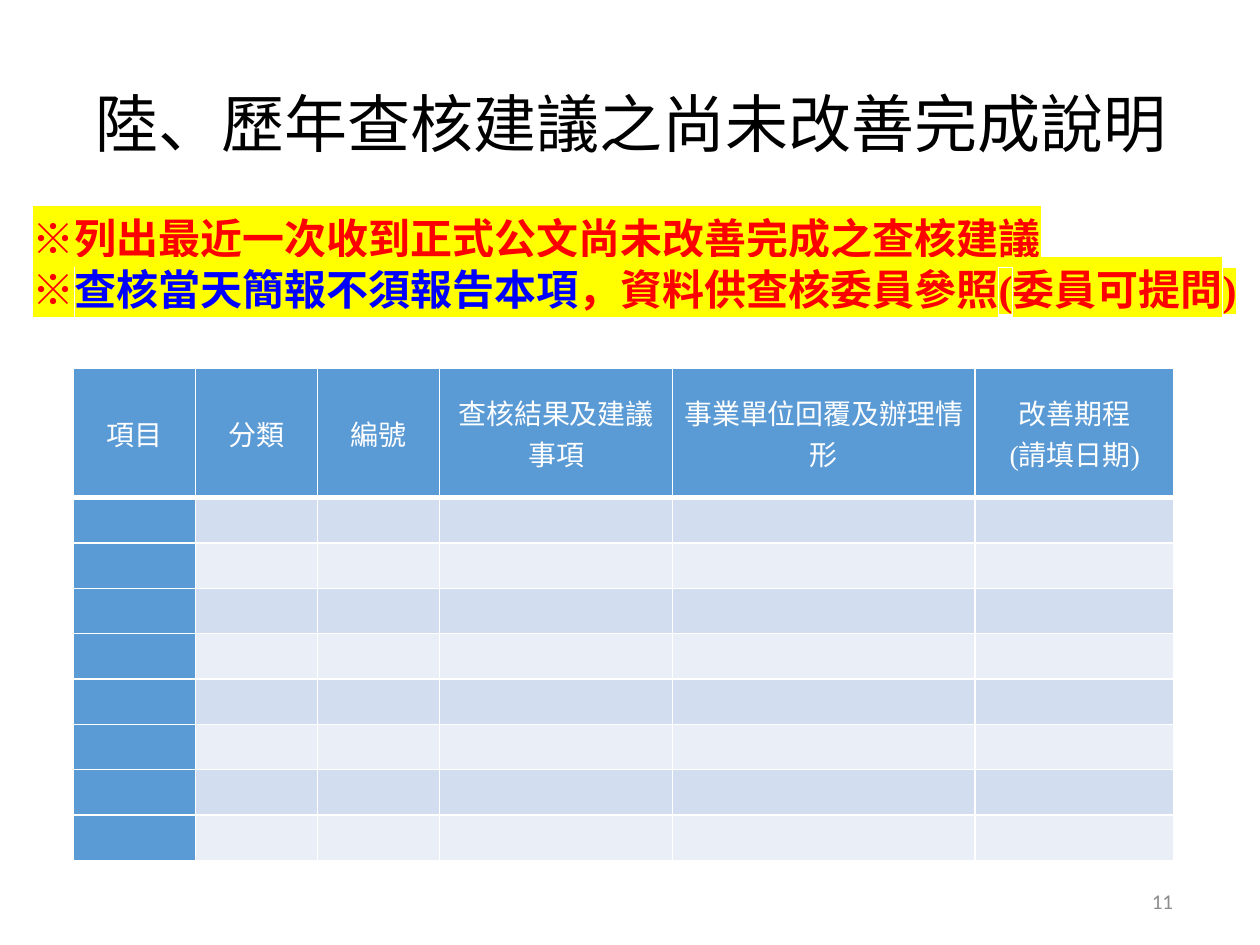
from lxml import etree
from pptx import Presentation
from pptx.dml.color import RGBColor
from pptx.enum import text
from pptx.oxml.ns import qn
from pptx.util import Inches, Pt

COLORS = {
    "ink": "000000", "white": "FFFFFF", "header": "5B9BD5",
    "band": "D2DEEF", "pale": "EAEFF7", "red": "FF0000",
    "blue": "0000FF", "yellow": "FFFF00", "gray": "8C8C8C",
}
SERIF = "Times New Roman"
COLUMNS, ROWS = 100, 75


def rgb(name):
    return RGBColor.from_string(COLORS[name])


def add_color(parent, name):
    etree.SubElement(parent, qn("a:srgbClr"), val=COLORS[name])


class SlideBuilder:
    """Style and current slide; places are in grid columns and rows."""

    def __init__(self, deck, layout):
        self.deck = deck
        self.page = deck.slides.add_slide(layout)

    def place(self, left, top, width, height):
        column = self.deck.slide_width / COLUMNS
        row = self.deck.slide_height / ROWS
        return (round(left * column), round(top * row),
                round(width * column), round(height * row))

    def style(self, para, font, size, color, align=text.PP_ALIGN.LEFT, bold=False):
        para.alignment = align
        para.font.name, para.font.size, para.font.bold = font, Pt(size), bold
        para.font.color.rgb = rgb(color)

    def margins(self, target, side, end):
        target.margin_left = target.margin_right = Inches(side)
        target.margin_top = target.margin_bottom = Inches(end)

    def title(self, words, place):
        box = self.page.shapes.title
        box.left, box.top, box.width, box.height = self.place(*place)
        frame = box.text_frame
        frame.text = words
        self.margins(frame, 0, 0)
        frame.vertical_anchor = text.MSO_ANCHOR.TOP
        frame.auto_size = text.MSO_AUTO_SIZE.SHAPE_TO_FIT_TEXT
        self.style(frame.paragraphs[0], "Noto Sans CJK SC", 36, "ink")

    def text_box(self, place, anchor=text.MSO_ANCHOR.TOP):
        frame = self.page.shapes.add_textbox(*self.place(*place)).text_frame
        frame.word_wrap = True
        frame.vertical_anchor = anchor
        return frame

    def notice(self, lines, place):
        frame = self.text_box(place)
        for index, spans in enumerate(lines):
            para = frame.add_paragraph() if index else frame.paragraphs[0]
            self.style(para, SERIF, 24, "red", bold=True)
            for words, color in spans:
                span = para.add_run()
                span.text = words
                span.font.color.rgb = rgb(color)
                mark = etree.SubElement(span.font._element, qn("a:highlight"))
                add_color(mark, "yellow")

    def page_number(self, number, place):
        frame = self.text_box(place, text.MSO_ANCHOR.MIDDLE)
        self.margins(frame, 0, 0)
        frame.text = str(number)
        self.style(frame.paragraphs[0], "Calibri", 12, "gray", text.PP_ALIGN.RIGHT)

    def border(self, cell, **widths):
        properties = cell._tc.get_or_add_tcPr()
        for side, width in widths.items():
            line = etree.SubElement(properties, qn("a:ln" + side), w=str(Pt(width)))
            add_color(etree.SubElement(line, qn("a:solidFill")), "white")

    def table(self, headings, widths, heights, place):
        shape = self.page.shapes.add_table(
            len(heights), len(widths),
            *self.place(*place, sum(widths), sum(heights)))
        grid = shape.table
        for column, width in zip(grid.columns, widths):
            column.width = self.place(0, 0, width, 0)[2]
        for row, height in zip(grid.rows, heights):
            row.height = self.place(0, 0, 0, height)[3]
        for r, row in enumerate(grid.rows):
            for c, cell in enumerate(row.cells):
                self.border(cell, L=1, R=1, T=1 if r != 1 else 3, B=1 if r else 3)
                cell.fill.solid()
                band = "band" if r % 2 else "pale"
                cell.fill.fore_color.rgb = rgb("header" if r == 0 or c == 0 else band)
                self.margins(cell, 0.07, 0)
                cell.vertical_anchor = text.MSO_ANCHOR.MIDDLE
                if r == 0:
                    cell.text = headings[c]
                for para in cell.text_frame.paragraphs:
                    self.style(para, SERIF, 16, "white", text.PP_ALIGN.CENTER)


deck = Presentation()
deck.slide_width, deck.slide_height = Inches(10), Inches(7.5)
slide = SlideBuilder(deck, deck.slide_layouts.get_by_name("Title Only"))

# Title
slide.title("陸、歷年查核建議之尚未改善完成說明", (7.6, 6.7, 87.4, 6.1))

# Table of open recommendations
slide.table(
    ["項目", "分類", "編號", "查核結果及建議事項", "事業單位回覆及辦理情形",
     "改善期程\n(請填日期)"],
    widths=[9.7] * 3 + [18.5, 24, 15.8],
    heights=[10.3] + [3.6] * 8,
    place=(5.8, 29.2))

# Page number
slide.page_number(11, (70.6, 69.5, 22.5, 4))

# Highlighted notice
slide.notice([
    [("※列出最近一次收到正式公文尚未改善完成之查核建議", "red")],
    [("※", "red"), ("查核當天簡報不須報告本項", "blue"),
     (",資料供查核委員參照(委員可提問)".replace(",", "\uff0c"), "red")],
], (1.6, 16.4, 98.5, 9.1))

deck.save("out.pptx")
